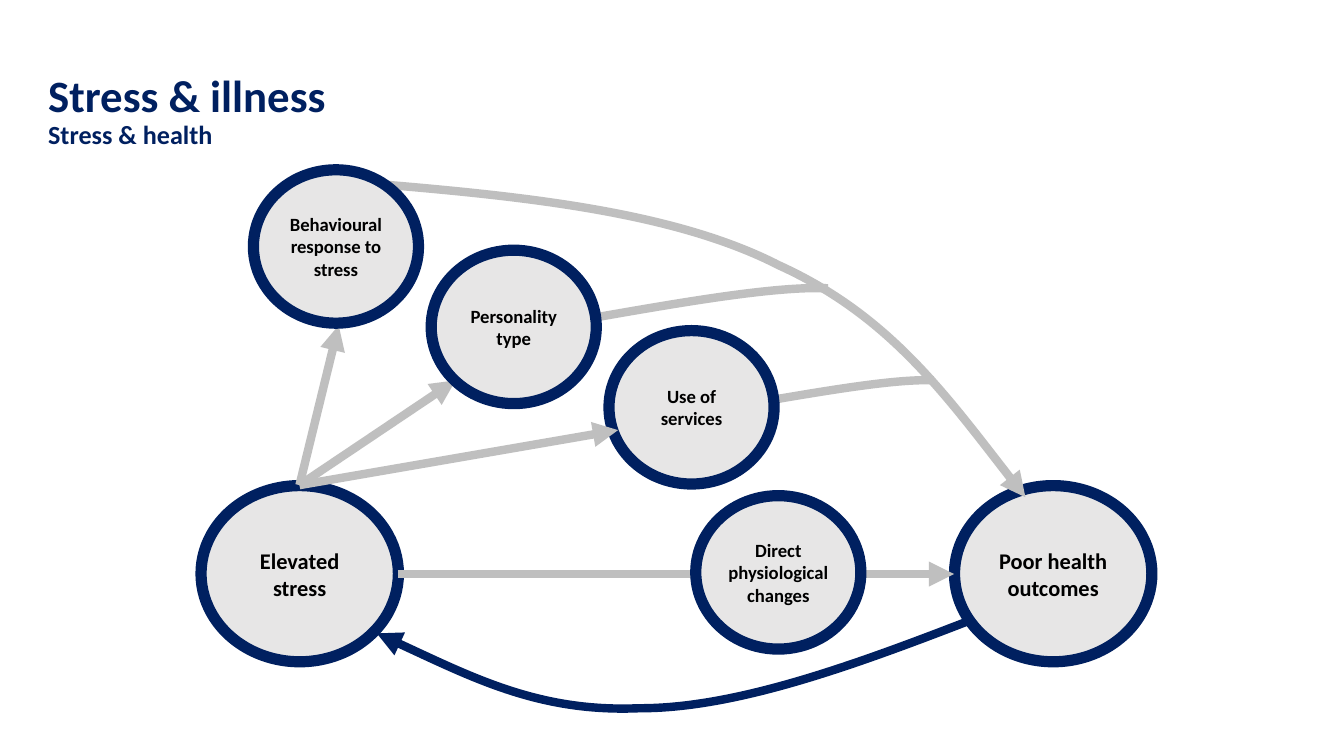
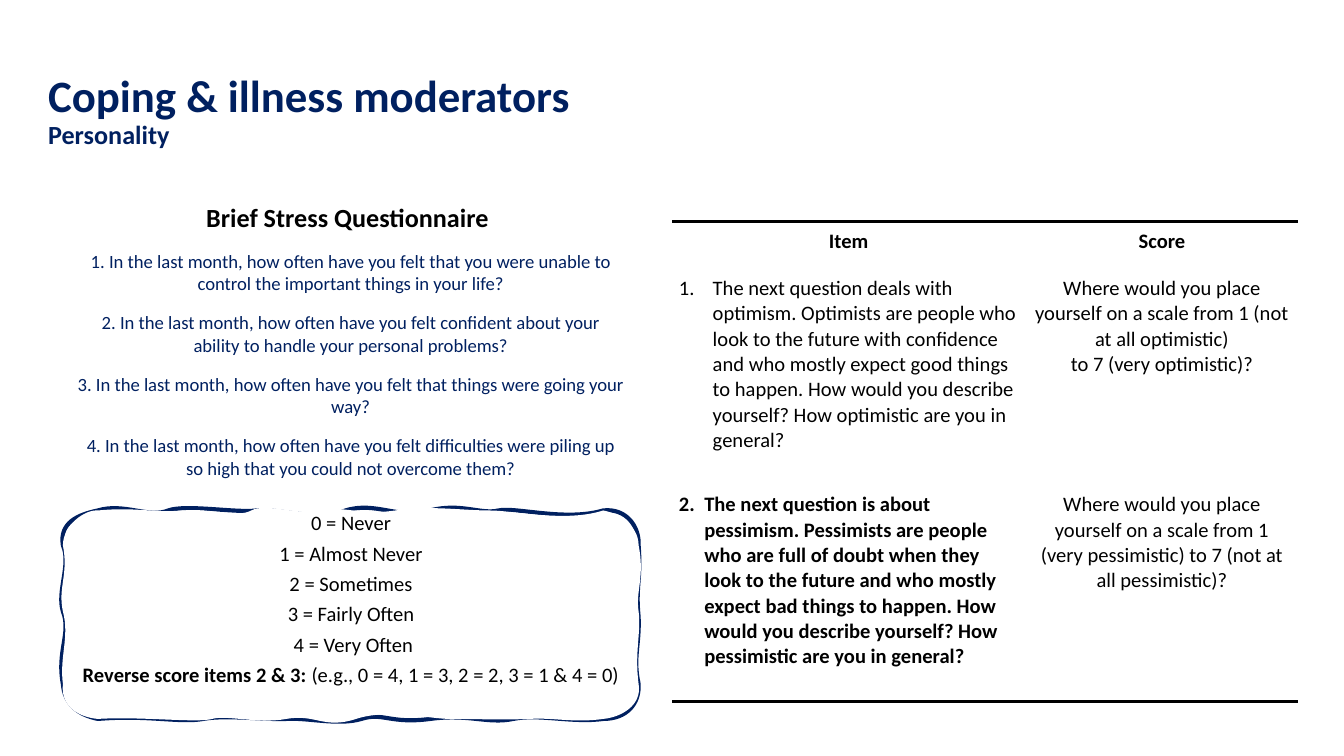
import pptx
import pptx.dml.color
import pptx.enum.shapes
import pptx.enum.text
import pptx.oxml
import pptx.oxml.ns
import pptx.util
from dataclasses import dataclass
from lxml import etree

Cm, Pt = pptx.util.Cm, pptx.util.Pt
rgb = pptx.dml.color.RGBColor.from_string
CENTER = pptx.enum.text.PP_ALIGN.CENTER
LEFT = pptx.enum.text.PP_ALIGN.LEFT
MIDDLE = pptx.enum.text.MSO_ANCHOR.MIDDLE
qn = pptx.oxml.ns.qn


@dataclass(frozen=True)
class Theme:
    font: str = "Calibri"
    navy: str = "002060"
    black: str = "000000"
    white: str = "FFFFFF"
    circle: str = "E7E6E6"
    arrow: str = "BFBFBF"
    title: int = 24
    subtitle: int = 14
    outcome: int = 12
    body: int = 11
    small: int = 10
    plain_table: str = "{2D5ABB26-0587-4C30-8999-92F81FD0307C}"


theme = Theme()


def format_runs(paragraph, size, color, bold=False, align=CENTER):
    paragraph.alignment = align
    for run in paragraph.runs:
        run.font.name = theme.font
        run.font.size = Pt(size)
        run.font.bold = bold
        run.font.color.rgb = rgb(color)


def add_curves(slide, start, contours, closed=False):
    """Draw cubic contours from one start; a segment is two handles and an end, in cm."""
    builder = slide.shapes.build_freeform(Cm(start[0]), Cm(start[1]))
    builder.add_line_segments([(Cm(x), Cm(y)) for *_, x, y in contours[0]], close=closed)
    shape = builder.convert_to_shape()
    shape.shadow.inherit = False
    shape.fill.background()
    path_list = shape._element.spPr.find(".//" + qn("a:pathLst"))
    path_list.remove(path_list[0])
    for segments in contours:
        path = etree.SubElement(path_list, qn("a:path"), w=str(shape.width), h=str(shape.height))
        for command, values in [("a:moveTo", start)] + [("a:cubicBezTo", s) for s in segments]:
            element = etree.SubElement(path, qn(command))
            for x, y in zip(values[::2], values[1::2]):
                etree.SubElement(element, qn("a:pt"), x=str(Cm(x) - shape.left),
                                 y=str(Cm(y) - shape.top))
        if closed:
            etree.SubElement(path, qn("a:close"))
    return shape


presentation = pptx.Presentation()
presentation.slide_width = Cm(25.4)
presentation.slide_height = Cm(14.29)

# Slides with their two-line titles
slides = []
for title, subtitle in (("Stress & illness", "Stress & health"),
                        ("Coping & illness moderators", "Personality")):
    slide = presentation.slides.add_slide(presentation.slide_layouts[6])
    text_frame = slide.shapes.add_textbox(Cm(0.66), Cm(1.03), Cm(20.45), Cm(2.18)).text_frame
    text_frame.word_wrap = True
    text_frame.vertical_anchor = MIDDLE
    paragraph = text_frame.paragraphs[0]
    paragraph.line_spacing = 0.9
    paragraph.add_run().text = title
    paragraph.add_line_break()
    paragraph.add_run().text = subtitle
    format_runs(paragraph, theme.title, theme.navy, True, LEFT)
    paragraph.runs[1].font.size = Pt(theme.subtitle)
    slides.append(slide)
diagram_slide, survey_slide = slides

# Curve outlines as fractions of their boxes
bow = ((0, 0), [(0.23, 0.04, 0.46, 0.09, 0.62, 0.26), (0.79, 0.42, 0.89, 0.71, 1, 1)])
branch = ((0, 1), [(0.39, 0.46, 0.78, -0.08, 1, 0)])

# Stress diagram, from back to front
stress_top = (5.66, 9.17)
large, small = (3.73, 3.33, theme.outcome), (3.12, 2.9, theme.small)
moderators = ("Behavioural response to stress", "Personality type", "Use of services")
diagram = [
    ("circle", "Elevated stress", (3.8, 9.18), large),
    ("circle", "Poor health outcomes", (18.04, 9.18), large),
    ("arrow", (7.52, 10.85), (18.03, 10.85)),
    ("circle", "Direct physiological changes", (13.15, 9.37), small),
    ("arrow", stress_top, (6.4, 6.15)),
    ("arrow", stress_top, (8.61, 7.19)),
    ("curve", bow, (7.14, 3.48, 12.24, 5.92), 0, theme.arrow),
    ("curve", branch, (11.2, 5.45, 4.45, 0.56), 0, theme.arrow),
    ("curve", branch, (14.53, 7.19, 3.12, 0.38), 0, theme.arrow),
    ("curve", bow, (7.62, 9.55, 10.16, 4.62), 154.4, theme.navy),
]
for index, label in enumerate(moderators):
    diagram.append(("circle", label, (4.79 + 3.36 * index, 3.21 + 1.52 * index), small))
diagram.append(("arrow", stress_top, (11.68, 8.13)))

for kind, *details in diagram:
    if kind == "circle":
        label, (left, top), (width, height, size) = details
        circle = diagram_slide.shapes.add_shape(
            pptx.enum.shapes.MSO_SHAPE.OVAL, Cm(left), Cm(top), Cm(width), Cm(height))
        circle.shadow.inherit = False
        circle.fill.solid()
        circle.fill.fore_color.rgb = rgb(theme.circle)
        circle.line.color.rgb = rgb(theme.navy)
        circle.line.width = Pt(6)
        text_frame = circle.text_frame
        text_frame.word_wrap = True
        text_frame.vertical_anchor = MIDDLE
        text_frame.margin_left = text_frame.margin_right = Cm(0.05)
        text_frame.margin_top = text_frame.margin_bottom = 0
        text_frame.text = label
        format_runs(text_frame.paragraphs[0], size, theme.black, True)
        continue
    if kind == "arrow":
        start, end = details
        color, has_head = theme.arrow, True
        stroke = diagram_slide.shapes.add_connector(
            pptx.enum.shapes.MSO_CONNECTOR.STRAIGHT, *(Cm(value) for value in start + end))
    else:
        outline, (left, top, width, height), rotation, color = details
        has_head = outline is bow
        start, *segments = [
            [top + height * value if index % 2 else left + width * value
             for index, value in enumerate(values)]
            for values in (outline[0], *outline[1])]
        stroke = add_curves(diagram_slide, start, [segments])
        stroke.rotation = rotation
    stroke.line.color.rgb = rgb(color)
    stroke.line.width = Pt(4.5)
    if has_head:
        etree.SubElement(stroke.line._get_or_add_ln(), qn("a:tailEnd"), type="triangle")
    if kind == "arrow":
        etree.SubElement(stroke._element.spPr, qn("a:effectLst"))

# Stress questionnaire
questions = (
    "Brief Stress Questionnaire ",
    "1. In the last month, how often have you felt that you were unable to control the "
    "important things in your life?",
    "2. In the last month, how often have you felt confident about your ability to handle "
    "your personal problems?",
    "3. In the last month, how often have you felt that things were going your way?",
    "4. In the last month, how often have you felt difficulties were piling up so high that "
    "you could not overcome them?",
)
text_frame = survey_slide.shapes.add_textbox(Cm(1.2), Cm(3.68), Cm(10.85), Cm(8.89)).text_frame
text_frame.word_wrap = True
text_frame.text = "\n".join(questions)
for index, paragraph in enumerate(text_frame.paragraphs):
    paragraph.space_after = Pt(8)
    if index == 0:
        format_runs(paragraph, theme.subtitle, theme.black, True)
    else:
        paragraph.space_before = Pt(1)
        format_runs(paragraph, theme.small, theme.navy)

# Optimism and pessimism table
rows = (
    ("Item", "Score"),
    ("The next question deals with optimism. Optimists are people who look to the future "
     "with confidence and who mostly expect good things to happen. How would you describe "
     "yourself? How optimistic are you in general?",
     "Where would you place yourself on a scale from 1 (not at all optimistic)\n"
     "to 7 (very optimistic)?"),
    ("2.\tThe next question is about pessimism. Pessimists are people who are full of doubt "
     "when they look to the future and who mostly expect bad things to happen. How would "
     "you describe yourself? How pessimistic are you in general?",
     "Where would you place yourself on a scale from 1 (very pessimistic) to 7 (not at all "
     "pessimistic)?"),
)
row_heights = (0.89, 4.09, 4.09)
hanging = {1: 0.64, 2: 0.48}
rules = {0: "a:lnT", 2: "a:lnB"}
table = survey_slide.shapes.add_table(
    3, 2, Cm(12.7), Cm(4.19), Cm(11.84), Cm(sum(row_heights))).table
table.horz_banding = False
table._tbl.tblPr.find(qn("a:tableStyleId")).text = theme.plain_table
for column, width in zip(table.columns, (6.68, 5.16)):
    column.width = Cm(width)
for row_index, texts in enumerate(rows):
    table.rows[row_index].height = Cm(row_heights[row_index])
    for column_index, text in enumerate(texts):
        cell = table.cell(row_index, column_index)
        cell.margin_left = cell.margin_right = cell.margin_top = cell.margin_bottom = Cm(0.13)
        if row_index in rules:
            border = etree.SubElement(cell._tc.get_or_add_tcPr(), qn(rules[row_index]),
                                      w=str(Pt(2)))
            border_fill = etree.SubElement(border, qn("a:solidFill"))
            etree.SubElement(border_fill, qn("a:srgbClr"), val=theme.black)
        cell.fill.solid()
        cell.fill.fore_color.rgb = rgb(theme.white)
        cell.text_frame.text = text
        numbered = column_index == 0 and row_index > 0
        bold = row_index == 0 or (numbered and row_index == 2)
        for paragraph in cell.text_frame.paragraphs:
            if numbered:
                properties = paragraph._p.get_or_add_pPr()
                indent = Cm(hanging[row_index])
                properties.set("marL", str(indent))
                properties.set("indent", str(-indent))
                if row_index == 1:
                    etree.SubElement(properties, qn("a:buAutoNum"), type="arabicPeriod")
            format_runs(paragraph, theme.body, theme.black, bold, LEFT if numbered else CENTER)

# Hand-drawn answer box: a wavy outline under a slightly different white wavy face
corner = (1.19, 10.31)
outline = [
    (1.12, 9.88, 1.47, 9.73, 1.85, 9.65), (2.34, 9.5, 2.82, 9.8, 3.18, 9.65),
    (3.51, 9.53, 4.47, 9.7, 4.85, 9.65), (5.23, 9.6, 5.94, 9.86, 6.53, 9.65),
    (7.11, 9.47, 7.54, 9.83, 8.13, 9.65), (8.71, 9.5, 9.09, 9.73, 9.42, 9.65),
    (9.75, 9.58, 10.69, 9.86, 11.4, 9.65), (11.84, 9.6, 12.09, 9.96, 12.07, 10.31),
    (12.12, 10.97, 12.01, 11.07, 12.07, 11.66), (12.09, 12.22, 11.96, 12.42, 12.07, 12.93),
    (12.09, 13.31, 11.84, 13.59, 11.4, 13.59), (10.82, 13.67, 10.19, 13.49, 9.7, 13.59),
    (9.22, 13.69, 8.86, 13.49, 8.13, 13.59), (7.37, 13.69, 7.24, 13.46, 6.83, 13.59),
    (6.4, 13.72, 5.79, 13.56, 5.41, 13.59), (5.05, 13.61, 4.27, 13.51, 3.84, 13.59),
    (3.4, 13.67, 2.79, 13.51, 1.85, 13.59), (1.47, 13.51, 1.22, 13.31, 1.19, 12.93),
    (1.07, 12.32, 1.35, 11.96, 1.19, 11.56), (1.07, 11.18, 1.35, 10.67, *corner),
]
face = [
    (1.19, 9.93, 1.6, 9.63, 1.85, 9.65), (2.57, 9.58, 2.9, 9.7, 3.45, 9.65),
    (4.01, 9.6, 4.47, 9.8, 4.75, 9.65), (5.03, 9.5, 5.64, 9.75, 6.05, 9.65),
    (6.48, 9.55, 6.81, 9.75, 7.47, 9.65), (8.1, 9.55, 8.74, 9.65, 9.25, 9.65),
    (9.73, 9.65, 10.69, 9.88, 11.4, 9.65), (11.68, 9.7, 12.07, 9.93, 12.07, 10.31),
    (12.19, 10.9, 12.01, 11.18, 12.07, 11.56), (12.12, 11.96, 11.99, 12.32, 12.07, 12.93),
    (12.14, 13.34, 11.73, 13.56, 11.4, 13.59), (10.85, 13.67, 10.46, 13.56, 10.01, 13.59),
    (9.55, 13.61, 8.89, 13.59, 8.51, 13.59), (8.1, 13.59, 7.34, 13.39, 6.73, 13.59),
    (6.12, 13.79, 5.97, 13.49, 5.41, 13.59), (4.88, 13.69, 4.29, 13.51, 4.01, 13.59),
    (3.73, 13.67, 2.67, 13.54, 1.85, 13.59), (1.5, 13.56, 1.14, 13.36, 1.19, 12.93),
    (1.12, 12.42, 1.32, 12.04, 1.19, 11.56), (1.09, 11.1, 1.3, 10.87, *corner),
]
answer_box = add_curves(survey_slide, corner, [outline, face], closed=True)
outline_path, face_path = answer_box._element.spPr.iter(qn("a:path"))
outline_path.set("fill", "none")
face_path.set("stroke", "0")
answer_box.fill.solid()
answer_box.fill.fore_color.rgb = rgb(theme.white)
answer_box.line.color.rgb = rgb(theme.navy)
answer_box.line.width = Pt(2.25)

# Answer scale
answers = ("0 = Never ", "1 = Almost Never ", "2 = Sometimes ", "3 = Fairly Often ",
           "4 = Very Often", "Reverse score items 2 & 3: ")
text_frame = answer_box.text_frame
text_frame.word_wrap = True
text_frame.vertical_anchor = pptx.enum.text.MSO_ANCHOR.TOP
text_frame.margin_left = Cm(0.1)
text_frame.margin_top = text_frame.margin_right = text_frame.margin_bottom = 0
text_frame.text = "\n".join(answers)
text_frame.paragraphs[-1].add_run().text = "(e.g., 0 = 4, 1 = 3, 2 = 2, 3 = 1 & 4 = 0) "
for index, paragraph in enumerate(text_frame.paragraphs):
    if index > 0:
        paragraph.space_before = Pt(1)
    paragraph.space_after = Pt(2)
    format_runs(paragraph, theme.body, theme.black)
text_frame.paragraphs[-1].runs[0].font.bold = True

presentation.save("out.pptx")
